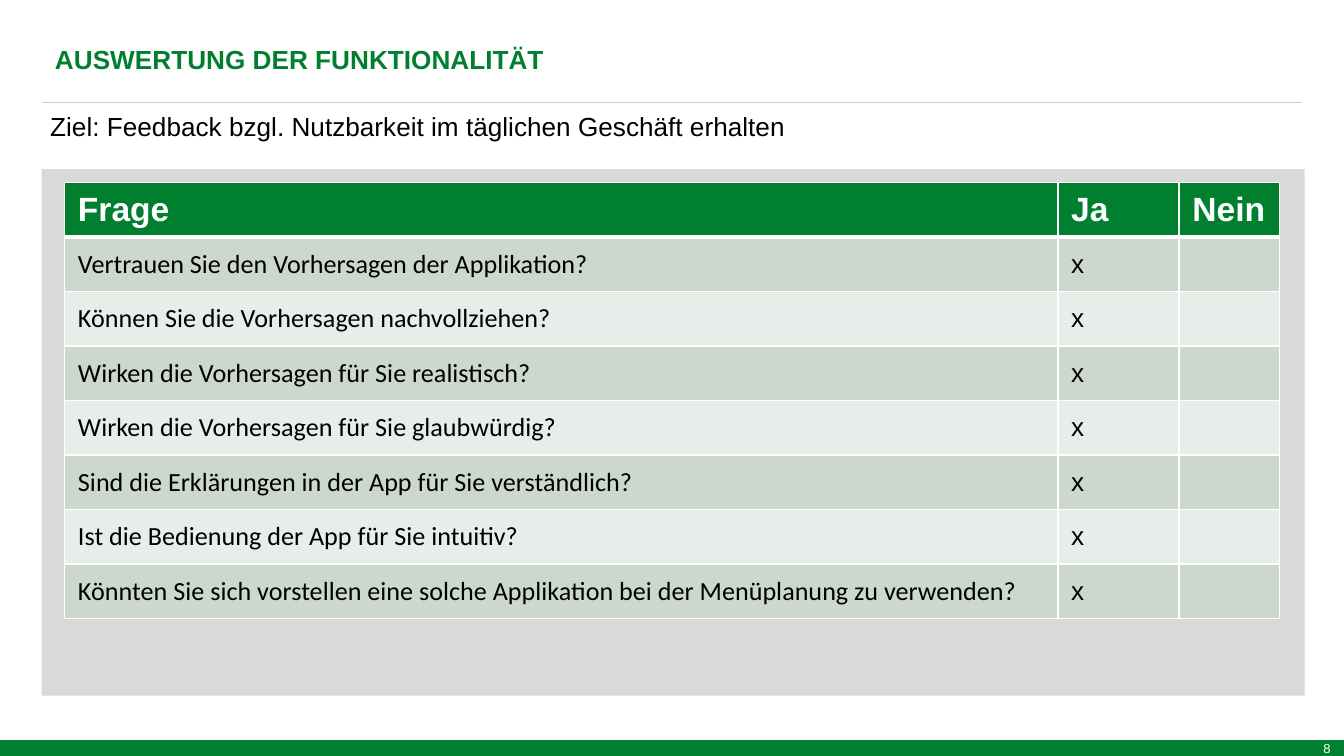
"""Build a slide with a yes/no questionnaire on the functionality of an app."""
from lxml import etree
from pptx import Presentation
from pptx.dml.color import RGBColor
from pptx.enum.shapes import MSO_CONNECTOR, MSO_SHAPE
from pptx.enum.text import MSO_ANCHOR, PP_ALIGN
from pptx.oxml.ns import qn
from pptx.util import Cm, Pt

TITLE = "AUSWERTUNG DER FUNKTIONALITÄT"
GOAL = "Ziel: Feedback bzgl. Nutzbarkeit im täglichen Geschäft erhalten"
PAGE_NUMBER = "8"
HEADER = ("Frage", "Ja", "Nein")
QUESTIONS = [
    "Vertrauen Sie den Vorhersagen der Applikation?",
    "Können Sie die Vorhersagen nachvollziehen?",
    "Wirken die Vorhersagen für Sie realistisch?",
    "Wirken die Vorhersagen für Sie glaubwürdig?",
    "Sind die Erklärungen in der App für Sie verständlich?",
    "Ist die Bedienung der App für Sie intuitiv?",
    "Könnten Sie sich vorstellen eine solche Applikation bei der Menüplanung zu verwenden?",
]
ROWS = [HEADER] + [(question, "x", "") for question in QUESTIONS]

GREEN = RGBColor(0x00, 0x80, 0x2F)
WHITE = RGBColor(0xFF, 0xFF, 0xFF)
BLACK = RGBColor(0x00, 0x00, 0x00)
RULE_GRAY = RGBColor(0xCC, 0xCC, 0xCC)
PANEL_GRAY = RGBColor(0xD9, 0xD9, 0xD9)
BANDS = (RGBColor(0xCC, 0xD8, 0xCD), RGBColor(0xE7, 0xED, 0xE8))

RECTANGLE = MSO_SHAPE.RECTANGLE
STRAIGHT = MSO_CONNECTOR.STRAIGHT
MIDDLE = MSO_ANCHOR.MIDDLE
RIGHT = PP_ALIGN.RIGHT

SLIDE_WIDTH, SLIDE_HEIGHT = 25.4, 14.29
BAR_HEIGHT = 0.3
MARGIN = 0.79
RULE_TOP = 1.94
TABLE_LEFT, TABLE_TOP = 1.22, 3.45
COLUMN_WIDTHS = (18.77, 2.29, 1.9)
ROW_HEIGHT = 1.03


def style_font(paragraph, size, color, name="Arial", bold=False):
    font = paragraph.font
    font.size, font.name, font.bold = Pt(size), name, bold
    font.color.rgb = color


def add_rectangle(slide, left, top, width, height, color):
    shape = slide.shapes.add_shape(RECTANGLE, Cm(left), Cm(top), Cm(width), Cm(height))
    shape.shadow.inherit = False
    shape.fill.solid()
    shape.fill.fore_color.rgb = color
    shape.line.fill.background()
    return shape


def add_text(slide, left, top, width, text, color, bold=False):
    frame = slide.shapes.add_textbox(Cm(left), Cm(top), Cm(width), Cm(0.86)).text_frame
    frame.word_wrap = True
    paragraph = frame.paragraphs[0]
    paragraph.text = text
    style_font(paragraph, 14, color, bold=bold)
    return paragraph


def add_borders(cell, bottom_width):
    properties = cell._tc.get_or_add_tcPr()
    for side, width in (("L", 1), ("R", 1), ("T", 1), ("B", bottom_width)):
        border = etree.SubElement(properties, qn(f"a:ln{side}"), w=str(Pt(width)))
        fill = etree.SubElement(border, qn("a:solidFill"))
        etree.SubElement(fill, qn("a:srgbClr"), val=str(WHITE))


def add_rule(slide):
    rule = slide.shapes.add_connector(
        STRAIGHT, Cm(MARGIN), Cm(RULE_TOP), Cm(SLIDE_WIDTH - MARGIN), Cm(RULE_TOP))
    rule.line.color.rgb = RULE_GRAY
    rule.line.width = Pt(0.5)
    etree.SubElement(rule._element.spPr, qn("a:effectLst"))


def add_footer(slide):
    bar = add_rectangle(slide, 0, SLIDE_HEIGHT - BAR_HEIGHT, SLIDE_WIDTH, BAR_HEIGHT, GREEN)
    frame = bar.text_frame
    frame.margin_top = frame.margin_bottom = 0
    frame.vertical_anchor = MIDDLE
    paragraph = frame.paragraphs[0]
    paragraph.text = PAGE_NUMBER
    paragraph.alignment = RIGHT
    style_font(paragraph, 7, WHITE)


def add_questionnaire(slide):
    table = slide.shapes.add_table(
        len(ROWS), len(HEADER), Cm(TABLE_LEFT), Cm(TABLE_TOP),
        Cm(sum(COLUMN_WIDTHS)), Cm(ROW_HEIGHT * len(ROWS))).table
    for column, width in zip(table.columns, COLUMN_WIDTHS):
        column.width = Cm(width)
    for row_index, texts in enumerate(ROWS):
        table.rows[row_index].height = Cm(ROW_HEIGHT)
        is_header = row_index == 0
        for column_index, text in enumerate(texts):
            cell = table.cell(row_index, column_index)
            add_borders(cell, 3 if is_header else 1)
            cell.fill.solid()
            cell.fill.fore_color.rgb = GREEN if is_header else BANDS[(row_index - 1) % 2]
            cell.vertical_anchor = MIDDLE
            paragraph = cell.text_frame.paragraphs[0]
            paragraph.text = text
            if is_header:
                style_font(paragraph, 18, WHITE, bold=True)
            else:
                style_font(paragraph, 14, BLACK, "Arial" if column_index else "Calibri")


def main():
    presentation = Presentation()
    presentation.slide_width = Cm(SLIDE_WIDTH)
    presentation.slide_height = Cm(SLIDE_HEIGHT)
    slide = presentation.slides.add_slide(presentation.slide_layouts[6])
    add_footer(slide)
    add_rule(slide)
    add_text(slide, MARGIN, 0.69, 20, TITLE, GREEN, bold=True)
    add_rectangle(slide, MARGIN, 3.2, 23.87, 9.95, PANEL_GRAY)
    goal = add_text(slide, 0.7, 1.96, 24.2, GOAL, BLACK)
    goal.space_after = Pt(12)
    add_questionnaire(slide)
    presentation.save("out.pptx")


if __name__ == "__main__":
    main()
